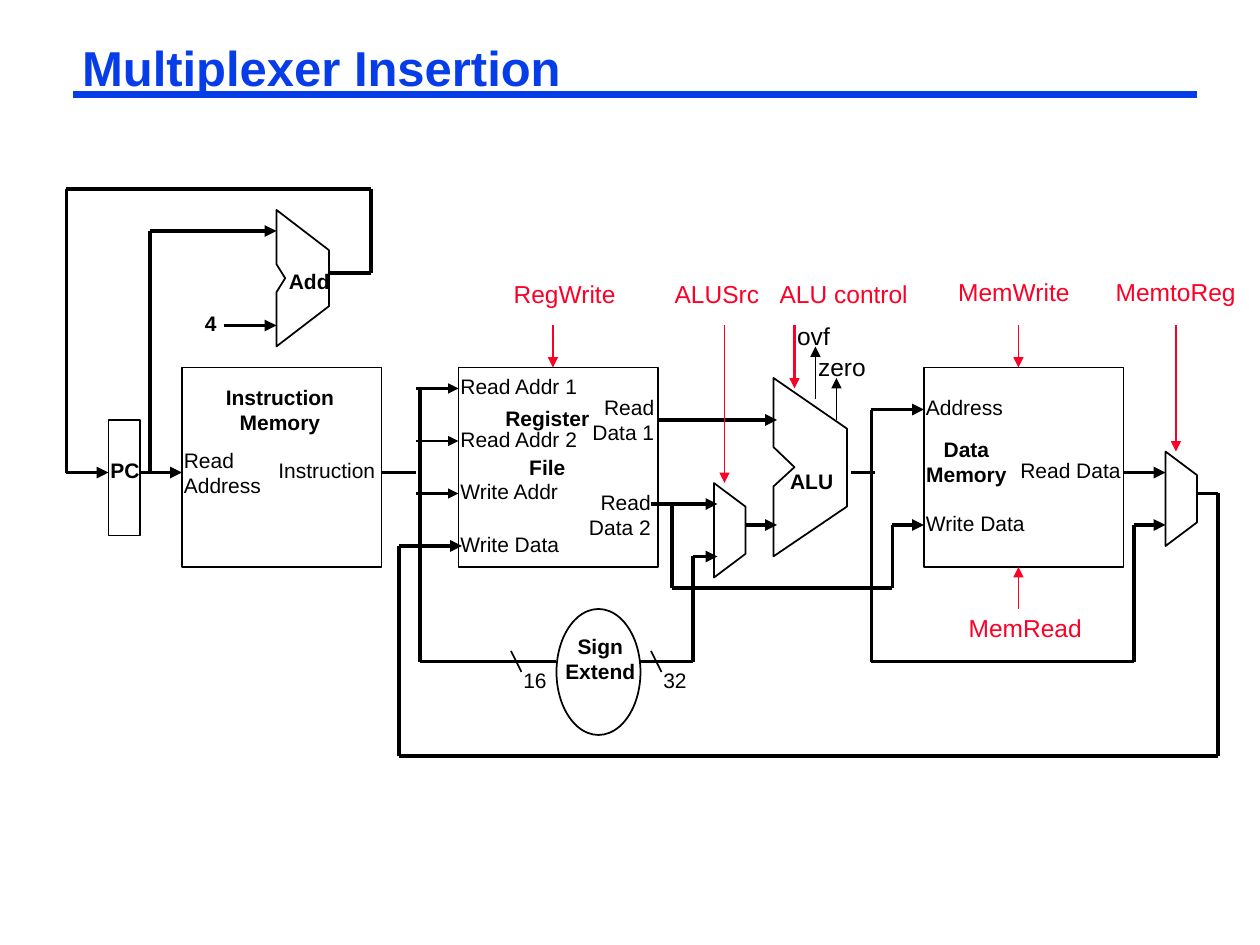
import dataclasses

import lxml.etree
import pptx
import pptx.dml.color
import pptx.enum.shapes
import pptx.enum.text
import pptx.oxml.ns
import pptx.util

Pt = pptx.util.Pt
Align = pptx.enum.text.PP_ALIGN
Preset = pptx.enum.shapes.MSO_SHAPE


@dataclasses.dataclass(frozen=True)
class Theme:
    font: str = "Arial"
    title: str = "063DE8"
    ink: str = "000000"
    control: str = "FC0128"
    title_size: float = 28
    signal_size: float = 14
    label_size: float = 12
    rule: float = 4.5
    wire: float = 2.25
    medium: float = 1.5
    thin: float = 1


THEME = Theme()


def rgb(color):
    return pptx.dml.color.RGBColor.from_string(color)


# Text
def add_text(page, text, left, top, width, height, size=THEME.label_size,
             color=THEME.ink, bold=False, align=Align.LEFT,
             inset=(7.2, 3.6), grow=False, spacing=None):
    box = page.shapes.add_textbox(Pt(left), Pt(top), Pt(width), Pt(height))
    frame = box.text_frame
    frame.text = text
    frame.word_wrap = False
    if grow:
        frame.auto_size = pptx.enum.text.MSO_AUTO_SIZE.SHAPE_TO_FIT_TEXT
    frame.margin_left = frame.margin_right = Pt(inset[0])
    frame.margin_top = frame.margin_bottom = Pt(inset[1])
    for paragraph in frame.paragraphs:
        paragraph.alignment = align
        if spacing:
            paragraph.line_spacing = spacing
        for span in paragraph.runs:
            span.font.name = THEME.font
            span.font.size = Pt(size)
            span.font.bold = bold
            span.font.color.rgb = rgb(color)
    return box


def add_label(page, text, left, top, width, bold=False, align=Align.LEFT):
    height = 21.6 if "\n" not in text else 36
    return add_text(page, text, left, top, width, height, bold=bold,
                    align=align, grow=True)


def add_signal(page, text, left, top, width, height=26, color=THEME.control,
               spacing=Pt(18)):
    add_text(page, text, left, top, width, height, THEME.signal_size, color,
             inset=(1.5, 2), spacing=spacing)


# Lines: a route is a chain of straight segments
def add_route(page, points, arrow=True, color=THEME.ink, weight=THEME.wire):
    for start, end in zip(points, points[1:]):
        line = page.shapes.add_connector(
            pptx.enum.shapes.MSO_CONNECTOR.STRAIGHT,
            *(Pt(value) for value in start + end))
        line.line.color.rgb = rgb(color)
        line.line.width = Pt(weight)
        properties = line.element.spPr
        lxml.etree.SubElement(properties, pptx.oxml.ns.qn("a:effectLst"))
        if arrow and end == points[-1]:
            outline = properties.find(pptx.oxml.ns.qn("a:ln"))
            lxml.etree.SubElement(outline, pptx.oxml.ns.qn("a:tailEnd"),
                                  type="triangle")


# Outlined blocks
def outline_only(shape):
    shape.shadow.inherit = False
    shape.fill.background()
    shape.line.color.rgb = rgb(THEME.ink)
    shape.line.width = Pt(THEME.thin)


def add_block(page, left, top, width, height, preset=Preset.RECTANGLE):
    outline_only(page.shapes.add_shape(
        preset, Pt(left), Pt(top), Pt(width), Pt(height)))


def add_outline(page, points):
    corners = [(Pt(x), Pt(y)) for x, y in points]
    builder = page.shapes.build_freeform(*corners[0], scale=1.0)
    builder.add_line_segments(corners[1:], close=True)
    outline_only(builder.convert_to_shape())


def add_multiplexer(page, left, top):
    add_outline(page, [(left, top), (left + 18, top + 13.5),
                       (left + 18, top + 40.5), (left, top + 54)])


def draw_title(page):
    add_route(page, [(42, 54), (684, 54)], False, THEME.title, THEME.rule)
    box = add_text(page, "Multiplexer Insertion", 42, 24, 642, 33,
                   THEME.title_size, THEME.title, True, inset=(5, 2),
                   grow=True, spacing=0.87)
    box.text_frame.word_wrap = True


def draw_blocks(page):
    add_block(page, 62, 240, 18, 66)
    for left in (104, 262, 528):
        add_block(page, left, 210, 114, 114)
    add_block(page, 318, 348, 48, 72, Preset.OVAL)
    add_outline(page, [(158, 120), (158, 151), (163, 159), (158, 167),
                       (158, 198), (188, 175), (188, 143)])
    add_outline(page, [(442, 216), (442, 255.5), (454, 267), (442, 278),
                       (442, 318), (484, 289.5), (484, 245)])
    add_multiplexer(page, 408, 276)
    add_multiplexer(page, 666, 258)


def draw_wires(page):
    arrow_routes = [
        # Next instruction address
        [(188, 156), (212, 156), (212, 108), (38, 108), (38, 270), (62, 270)],
        [(80, 270), (104, 270)],
        [(86, 270), (86, 132), (158, 132)],
        [(128, 186), (158, 186)],
        # Operands and store data
        [(376, 240), (444, 240)],
        [(372, 288), (410, 288)],
        [(426, 300), (444, 300)],
        [(384, 288), (384, 336), (510, 336), (510, 300), (528, 300)],
        [(366, 378), (396, 378), (396, 318), (410, 318)],
        # Result, memory access and write back
        [(498, 234), (528, 234)],
        [(498, 234), (498, 378), (648, 378), (648, 300), (666, 300)],
        [(642, 270), (666, 270)],
        [(684, 282), (696, 282), (696, 432), (228, 432), (228, 312),
         (264, 312)],
    ]
    for points in arrow_routes:
        add_route(page, points)
    for points in ([(218, 270), (238, 270)], [(486, 270), (500, 270)],
                   [(240, 222), (240, 378), (318, 378)]):
        add_route(page, points, arrow=False)
    for y in (222, 252, 282):
        add_route(page, [(238, y), (262, y)], weight=THEME.medium)
    # Bus width marks and status outputs
    for x, width in ((292, "16"), (372, "32")):
        add_route(page, [(x, 372), (x + 6, 384)], False, weight=THEME.thin)
        add_label(page, width, x, 378, 30)
    for x, start, end in ((466, 228, 198), (478, 240, 216)):
        add_route(page, [(x, start), (x, end)], weight=THEME.thin)


def draw_controls(page):
    # Name, label left, label top, width, line spacing
    for name, left, top, width, spacing in (
            ("RegWrite", 292, 156, 73, Pt(18)),
            ("ALUSrc", 384, 156, 54, Pt(18)),
            ("ALU control", 444, 156, 80, Pt(18)),
            ("MemWrite", 546, 156, 73, None),
            ("MemtoReg", 636, 156, 75, None),
            ("MemRead", 552, 348, 73, None)):
        add_signal(page, name, left, top, width, spacing=spacing)
    # Arrow position, start, end, weight
    for x, start, end, weight in (
            (316, 186, 210, THEME.thin), (414, 186, 276, THEME.thin),
            (454, 186, 222, THEME.medium), (582, 186, 210, THEME.thin),
            (672, 186, 258, THEME.thin), (582, 348, 324, THEME.thin)):
        add_route(page, [(x, start), (x, end)], color=THEME.control,
                  weight=weight)
    add_signal(page, "ovf", 454, 180, 60, 24, THEME.ink)
    add_signal(page, "zero", 466, 198, 42, 24, THEME.ink)


def draw_labels(page):
    # Ports
    for text, left, top, width in (
            ("Read\nAddress", 98, 252, 62), ("Instruction", 152, 258, 73),
            ("Read Addr 1", 256, 210, 84), ("Read Addr 2", 256, 240, 84),
            ("Write Addr", 256, 270, 74), ("Write Data", 256, 300, 74),
            ("Address", 522, 222, 62), ("Write Data", 522, 288, 74),
            ("Read Data", 576, 258, 75)):
        add_label(page, text, left, top, width)
    add_label(page, "Read\nData 1", 328, 222, 53, align=Align.RIGHT)
    add_label(page, "Read\nData 2", 326, 276, 53, align=Align.RIGHT)
    # Block names
    for text, left, top, width in (("Add", 158, 150, 41), ("PC", 56, 258, 34),
                                   ("4", 110, 174, 23)):
        add_label(page, text, left, top, width, bold=True)
    for text, left, top, width in (("Instruction\nMemory", 119, 216, 82),
                                   ("Data\nMemory", 520, 246, 64.5)):
        add_label(page, text, left, top, width, True, Align.CENTER)
    register = add_text(page, "Register\nFile", 280, 228, 65.5, 50.4,
                        bold=True, align=Align.CENTER, grow=True)
    register.text_frame.paragraphs[1].space_before = Pt(14)
    add_text(page, "ALU", 450, 264, 39.5, 26, bold=True, inset=(1.5, 2),
             spacing=Pt(16))
    add_text(page, "Sign\nExtend", 319, 360, 48, 36, bold=True,
             align=Align.CENTER, inset=(1.5, 2))


def main():
    deck = pptx.Presentation()
    deck.slide_width, deck.slide_height = Pt(720), Pt(540)
    page = deck.slides.add_slide(deck.slide_layouts[6])
    draw_title(page)
    draw_blocks(page)
    draw_wires(page)
    draw_controls(page)
    draw_labels(page)
    deck.save("out.pptx")


if __name__ == "__main__":
    main()
